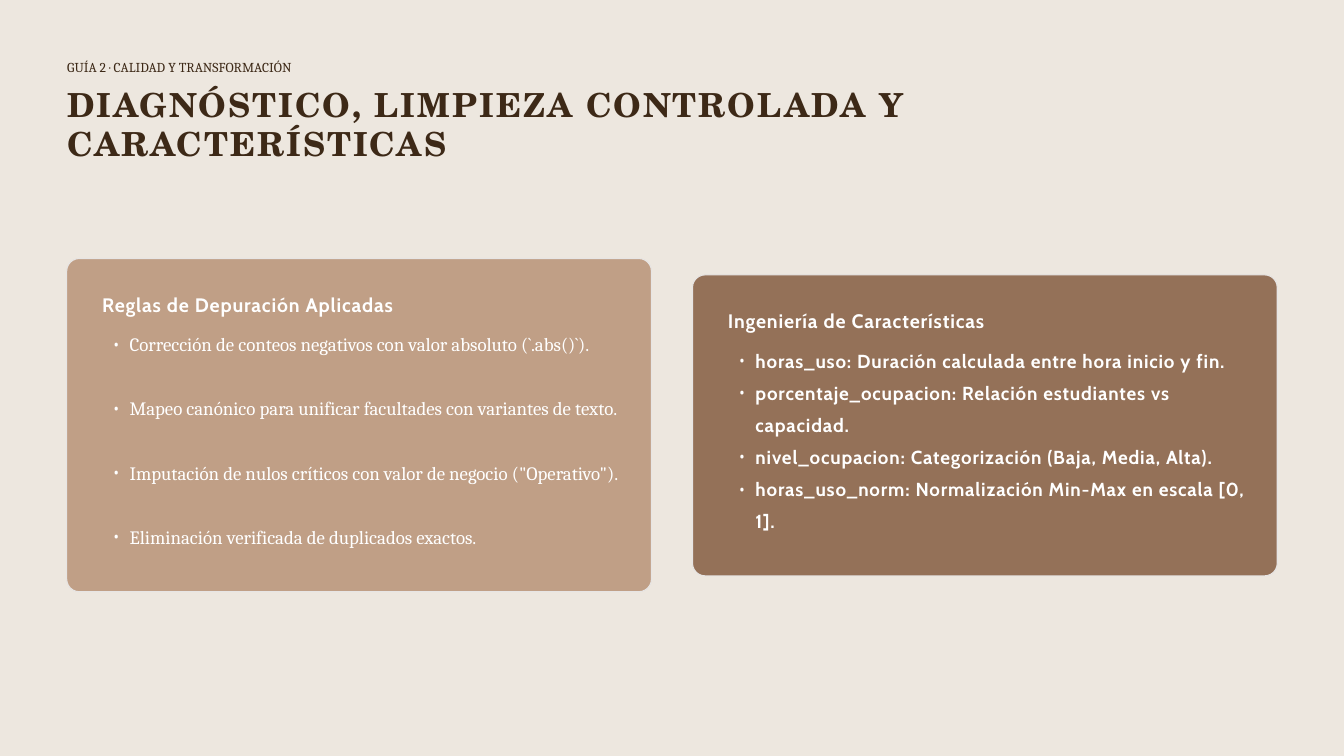
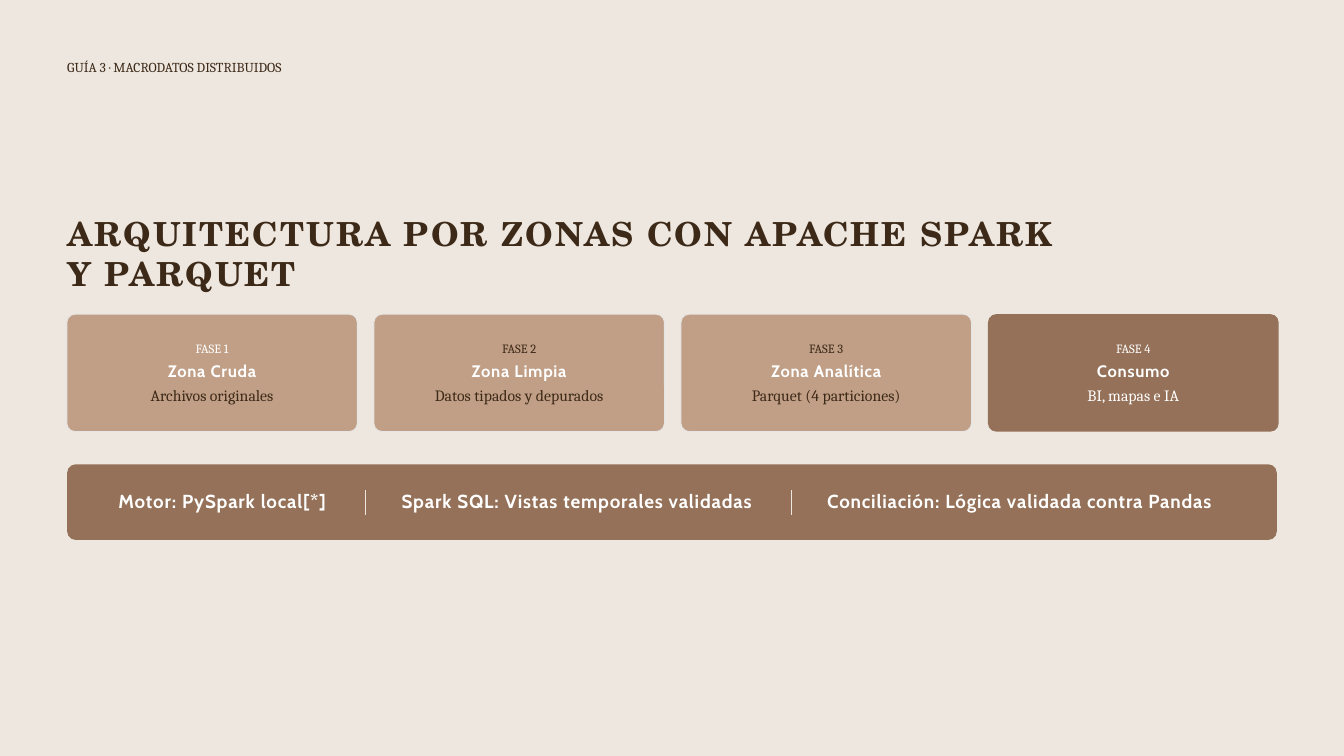
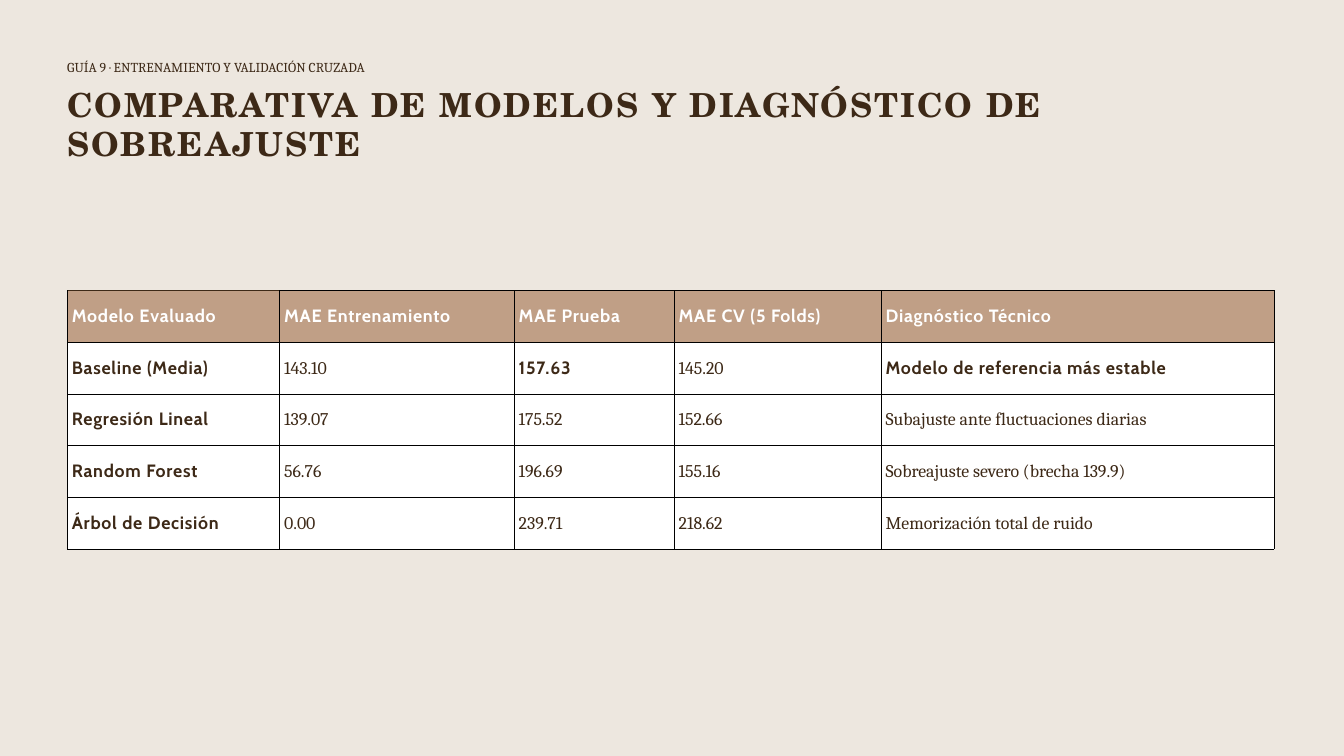
import pptx
import pptx.dml.color
import pptx.enum.shapes
import pptx.enum.text
import pptx.oxml
import pptx.oxml.ns
import pptx.util

Pt = pptx.util.Pt
RGBColor = pptx.dml.color.RGBColor

CREAM = RGBColor(0xED, 0xE7, 0xDF)
TAN = RGBColor(0xC0, 0x9F, 0x86)
BROWN = RGBColor(0x94, 0x71, 0x58)
DARK = RGBColor(0x3D, 0x29, 0x17)
BORDER = RGBColor(0xE7, 0xE5, 0xE4)
WHITE = RGBColor(0xFF, 0xFF, 0xFF)

SERIF = "Cambria"
SANS = "Cabin"
NAMESPACE = pptx.oxml.ns.nsdecls("a")
MARGIN = 72

STYLES = {
    "kicker": ({"name": SERIF, "size": Pt(14.6), "bold": False}, 17.6, 0),
    "title": ({"name": "TeX Gyre Schola", "size": Pt(35.5), "bold": True}, 42.6, 220),
    "heading": ({"name": SANS, "size": Pt(20.9), "bold": True}, 25.1, 90),
    "item": ({"name": SERIF, "size": Pt(20.2), "bold": False}, 34.4, 0),
    "strong item": ({"name": SANS, "size": Pt(20.2), "bold": True}, 34.4, 90),
    "fact": ({"name": SANS, "size": Pt(20.2), "bold": True}, 24.3, 90),
    "phase": ({"name": SERIF, "size": Pt(13.5), "bold": False}, 16.2, 0),
    "zone": ({"name": SANS, "size": Pt(17.8), "bold": True}, 21.3, 80),
    "detail": ({"name": SERIF, "size": Pt(16.9), "bold": False}, 20.2, 0),
    "cell": ({"name": SERIF, "size": Pt(19.1), "bold": False}, 22.9, 0),
    "strong cell": ({"name": SANS, "size": Pt(19.1), "bold": True}, 22.9, 80),
}


def write(frame, text, style, color, space_before=0):
    font_values, line_height, letter_spacing = STYLES[style]
    paragraph = frame.paragraphs[0]
    if frame.text:
        paragraph = frame.add_paragraph()
        paragraph.space_before = Pt(space_before)
    paragraph.line_spacing = Pt(line_height)
    run = paragraph.add_run()
    run.text = text
    for attribute, value in font_values.items():
        setattr(run.font, attribute, value)
    run.font.color.rgb = color
    if letter_spacing:
        run._r.get_or_add_rPr().set("spc", str(letter_spacing))
    return paragraph


def add_panel(slide, left, top, width, height, fill, radius, border=True):
    panel = slide.shapes.add_shape(
        pptx.enum.shapes.MSO_SHAPE.ROUNDED_RECTANGLE,
        Pt(left), Pt(top), Pt(width), Pt(height))
    panel.adjustments[0] = radius / min(width, height)
    panel.shadow.inherit = False
    panel.fill.solid()
    panel.fill.fore_color.rgb = fill
    if border:
        panel.line.color.rgb = BORDER
        panel.line.width = Pt(1.13)
    else:
        panel.line.fill.background()
    panel.text_frame.word_wrap = True
    return panel


presentation = pptx.Presentation()
presentation.slide_width = Pt(1440)
presentation.slide_height = Pt(810)

headers = [
    ("GUÍA 2 · CALIDAD Y TRANSFORMACIÓN",
     "DIAGNÓSTICO, LIMPIEZA CONTROLADA Y CARACTERÍSTICAS", 90),
    ("GUÍA 3 · MACRODATOS DISTRIBUIDOS",
     "ARQUITECTURA POR ZONAS CON APACHE SPARK Y PARQUET", 229),
    ("GUÍA 9 · ENTRENAMIENTO Y VALIDACIÓN CRUZADA",
     "COMPARATIVA DE MODELOS Y DIAGNÓSTICO DE SOBREAJUSTE", 90),
]
slides = []
labels = []
for kicker, title, title_top in headers:
    slide = presentation.slides.add_slide(presentation.slide_layouts[6])
    slide.background.fill.solid()
    slide.background.fill.fore_color.rgb = CREAM
    slides.append(slide)
    labels.append((slide, MARGIN, 63.4, 400, 17.6, kicker, "kicker", DARK))
    labels.append((slide, MARGIN, title_top, 1080, 85.2, title, "title", DARK))
rules_slide, zones_slide, models_slide = slides

rule_cards = [
    (71.5, 277, 357, TAN, "Reglas de Depuración Aplicadas", "item", 34.4, [
        "Corrección de conteos negativos con valor absoluto (`.abs()`).",
        "Mapeo canónico para unificar facultades con variantes de texto.",
        'Imputación de nulos críticos con valor de negocio ("Operativo").',
        "Eliminación verificada de duplicados exactos.",
    ]),
    (742, 294.5, 322.5, BROWN, "Ingeniería de Características", "strong item", 0, [
        "horas_uso: Duración calculada entre hora inicio y fin.",
        "porcentaje_ocupacion: Relación estudiantes vs capacidad.",
        "nivel_ocupacion: Categorización (Baja, Media, Alta).",
        "horas_uso_norm: Normalización Min-Max en escala [0, 1].",
    ]),
]
card_frame = {
    "margin_left": Pt(34), "margin_top": Pt(32.5),
    "margin_right": Pt(22.5), "margin_bottom": 0,
    "vertical_anchor": pptx.enum.text.MSO_ANCHOR.TOP,
}
for left, top, height, fill, heading, style, gap, items in rule_cards:
    card = add_panel(rules_slide, left, top, 626.5, height, fill, 13.5)
    for attribute, value in card_frame.items():
        setattr(card.text_frame, attribute, value)
    paragraph = write(card.text_frame, heading, "heading", WHITE)
    paragraph.alignment = pptx.enum.text.PP_ALIGN.LEFT
    for index, item in enumerate(items):
        paragraph = write(card.text_frame, item, style, WHITE, gap if index else 8)
        paragraph.alignment = pptx.enum.text.PP_ALIGN.LEFT
        properties = paragraph._p.get_or_add_pPr()
        properties.set("marL", str(Pt(29.5)))
        properties.set("indent", str(Pt(-18.7)))
        for bullet in (f'<a:buFont {NAMESPACE} typeface="{SERIF}"/>',
                       f'<a:buChar {NAMESPACE} char="•"/>'):
            properties.append(pptx.oxml.parse_xml(bullet))

zones = [
    ("Zona Cruda", "Archivos originales", TAN, WHITE, DARK),
    ("Zona Limpia", "Datos tipados y depurados", TAN, DARK, DARK),
    ("Zona Analítica", "Parquet (4 particiones)", TAN, DARK, DARK),
    ("Consumo", "BI, mapas e IA", BROWN, WHITE, WHITE),
]
for index, (zone, detail, fill, phase_color, detail_color) in enumerate(zones):
    card = add_panel(zones_slide, 71.5 + 329 * index, 336.5, 311.5, 126,
                     fill, 9, border=fill == TAN)
    card.text_frame.vertical_anchor = pptx.enum.text.MSO_ANCHOR.MIDDLE
    write(card.text_frame, f"FASE {index + 1}", "phase", phase_color)
    write(card.text_frame, zone, "zone", WHITE, 4.7)
    write(card.text_frame, detail, "detail", detail_color, 5.3)
    for paragraph in card.text_frame.paragraphs:
        paragraph.alignment = pptx.enum.text.PP_ALIGN.CENTER

add_panel(zones_slide, MARGIN, 497.5, 1296, 81, BROWN, 9, border=False)
for left, width, fact in [
    (126.7, 240, "Motor: PySpark local[*]"),
    (430.3, 400, "Spark SQL: Vistas temporales validadas"),
    (886.3, 440, "Conciliación: Lógica validada contra Pandas"),
]:
    labels.append((zones_slide, left, 525, width, 24.3, fact, "fact", WHITE))
for divider_left in (391.7, 848.2):
    divider = zones_slide.shapes.add_connector(
        pptx.enum.shapes.MSO_CONNECTOR.STRAIGHT,
        Pt(divider_left), Pt(525), Pt(divider_left), Pt(552))
    divider.line.color.rgb = CREAM
    divider.line.width = Pt(1.2)
    divider._element.spPr.append(pptx.oxml.parse_xml(f"<a:effectLst {NAMESPACE}/>"))

model_rows = [
    ["Modelo Evaluado", "MAE Entrenamiento", "MAE Prueba", "MAE CV (5 Folds)",
     "Diagnóstico Técnico"],
    ["Baseline (Media)", "143.10", "157.63", "145.20",
     "Modelo de referencia más estable"],
    ["Regresión Lineal", "139.07", "175.52", "152.66",
     "Subajuste ante fluctuaciones diarias"],
    ["Random Forest", "56.76", "196.69", "155.16",
     "Sobreajuste severo (brecha 139.9)"],
    ["Árbol de Decisión", "0.00", "239.71", "218.62", "Memorización total de ruido"],
]
column_widths = [227.5, 251.3, 171.4, 221.8, 421.2]
row_height = 55.44
best_cells = {(1, 2), (1, 4)}
table = models_slide.shapes.add_table(
    len(model_rows), len(column_widths), Pt(MARGIN), Pt(311),
    Pt(sum(column_widths)), Pt(row_height * len(model_rows))).table
for column, width in zip(table.columns, column_widths):
    column.width = Pt(width)
cell_format = {f"margin_{side}": Pt(5) for side in ("left", "right", "top", "bottom")}
cell_format["vertical_anchor"] = pptx.enum.text.MSO_ANCHOR.MIDDLE
for row_index, values in enumerate(model_rows):
    table.rows[row_index].height = Pt(row_height)
    for column_index, value in enumerate(values):
        cell = table.cell(row_index, column_index)
        for attribute, setting in cell_format.items():
            setattr(cell, attribute, setting)
        is_header = row_index == 0
        is_strong = is_header or column_index == 0 or (row_index, column_index) in best_cells
        cell.fill.solid()
        cell.fill.fore_color.rgb = TAN if is_header else WHITE
        write(cell.text_frame, value, "strong cell" if is_strong else "cell",
              WHITE if is_header else DARK)
        for position, side in enumerate("LRTB"):
            color = DARK if is_header and column_index == 0 and side == "T" else "000000"
            cell._tc.get_or_add_tcPr().insert(position, pptx.oxml.parse_xml(
                f'<a:ln{side} {NAMESPACE} w="{Pt(0.37)}"><a:solidFill>'
                f'<a:srgbClr val="{color}"/></a:solidFill></a:ln{side}>'))

for slide, left, top, width, height, text, style, color in labels:
    frame = slide.shapes.add_textbox(Pt(left), Pt(top), Pt(width), Pt(height)).text_frame
    frame.word_wrap = True
    for side in ("left", "right", "top", "bottom"):
        setattr(frame, f"margin_{side}", 0)
    write(frame, text, style, color)

presentation.save("out.pptx")
